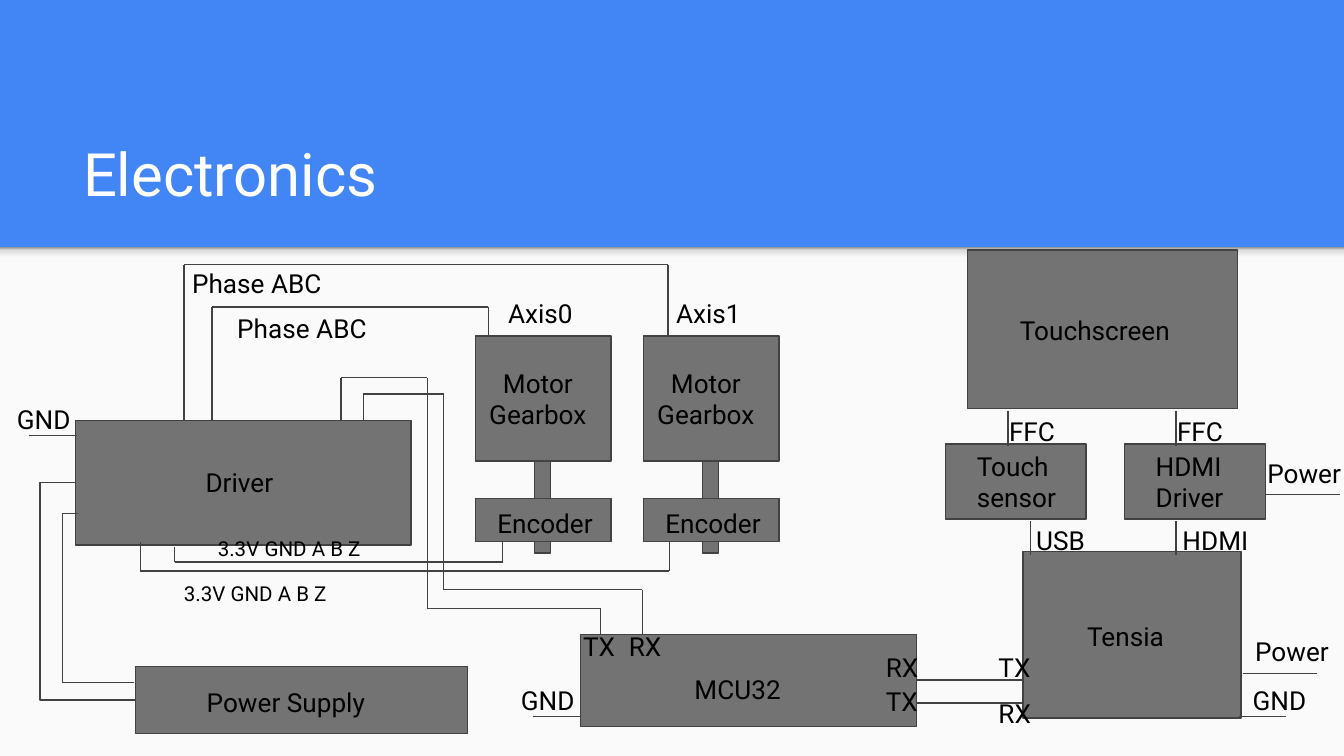
"""Build the Electronics wiring slide."""
from copy import deepcopy
from dataclasses import dataclass
from itertools import pairwise

from lxml import etree
from pptx import Presentation
from pptx.dml.color import RGBColor
from pptx.enum.shapes import MSO_CONNECTOR, MSO_SHAPE
from pptx.enum.text import MSO_ANCHOR, PP_ALIGN
from pptx.oxml.ns import qn
from pptx.util import Pt

RECTANGLE = MSO_SHAPE.RECTANGLE
STRAIGHT, ELBOW = MSO_CONNECTOR.STRAIGHT, MSO_CONNECTOR.ELBOW
TOP, BOTTOM = MSO_ANCHOR.TOP, MSO_ANCHOR.BOTTOM
LEFT, CENTER = PP_ALIGN.LEFT, PP_ALIGN.CENTER


@dataclass(frozen=True)
class Theme:
    banner: str = "4285F4"
    paper: str = "FAFAFA"
    block: str = "737373"
    wire: str = "424242"
    ink: str = "000000"
    title_ink: str = "FFFFFF"
    shade: tuple = ((0, "F9F9F9"), (0.36, "F9F9F9"), (0.8, "DEDEDE"), (1, "999999"))
    font: str = "Roboto"
    title_size: float = 32
    body_size: float = 14
    small_size: float = 11
    line_width: float = 0.75
    inset: float = 7.2


@dataclass(frozen=True)
class Frame:
    left: float
    top: float
    width: float
    height: float

    def lengths(self) -> tuple:
        return Pt(self.left), Pt(self.top), Pt(self.width), Pt(self.height)


@dataclass(frozen=True)
class Label:
    text: str
    frame: Frame
    size: float = Theme.body_size
    color: str = Theme.ink
    align: PP_ALIGN = LEFT
    anchor: MSO_ANCHOR = TOP


@dataclass(frozen=True)
class Block:
    frame: Frame
    label: Label


THEME = Theme()
ONE_LINE, TWO_LINES, SMALL_LINE = 31.5, 48, 28

BLOCKS = [
    Block(Frame(72.7, 357, 177.8, 36), Label("Power Supply", Frame(103.7, 360.7, 113, ONE_LINE))),
    Block(Frame(40.3, 225.4, 180, 66.6), Label("Driver", Frame(103, 242.6, 66.2, ONE_LINE))),
    Block(Frame(518.4, 134, 144.7, 85), Label("Touchscreen", Frame(539.3, 161.3, 103.7, ONE_LINE))),
    Block(Frame(311, 339.8, 180, 49.4), Label("MCU32", Frame(365, 353.5, 66, ONE_LINE))),
    Block(Frame(548, 295.4, 116.8, 89.3), Label("Tensia", Frame(575.3, 325.4, 66.2, ONE_LINE))),
    Block(Frame(602.6, 237.8, 75.4, 40.3), Label("HDMI\nDriver", Frame(612, 234, 65.5, TWO_LINES))),
    Block(Frame(506.4, 237.8, 75.4, 40.3), Label("Touch\nsensor", Frame(516.2, 234, 65.5, TWO_LINES))),
]

WIRES = [
    [(98.6, 225.4), (98.6, 141.8), (357.8, 141.8), (357.8, 180)],
    [(113.6, 225.4), (113.6, 164.4), (261.6, 164.4), (261.6, 180)],
    [(182.8, 225.4), (182.8, 202.4), (229, 202.4), (229, 326), (321.8, 326), (321.8, 339.8)],
    [(194.6, 225.4), (194.6, 211), (237.6, 211), (237.6, 316), (344.2, 316), (344.2, 339.8)],
    [(93.6, 293), (93.6, 301), (269.3, 301), (269.3, 290.2)],
    [(75.2, 290.2), (75.2, 306), (358.6, 306), (358.6, 290.2)],
    [(41.8, 275), (33.6, 275), (33.6, 365.8), (72, 365.8)],
    [(41, 233.3), (15.8, 233.3)],
    [(311, 383.8), (285.8, 383.8)],
    [(689, 383.8), (663.8, 383.8)],
    [(666, 360.7), (705.6, 360.7)],
    [(678.2, 265), (717.8, 265)],
    [(540, 220.3), (540, 239)],
    [(630, 220.3), (630, 239)],
    [(552.2, 279.4), (552.2, 297.4)],
    [(630, 279.4), (630, 297.4)],
    [(491, 364.3), (548.6, 364.3)],
    [(491, 376.6), (548.6, 376.6)],
]

LABELS = [
    Label("Electronics", Frame(37.4, 58.3, 647.3, 60.5), THEME.title_size, THEME.title_ink, anchor=BOTTOM),
    *(Label(text, Frame(left, top, width, ONE_LINE)) for text, left, top, width in [
        ("Phase ABC", 95.8, 136, 90),
        ("Phase ABC", 120, 160, 90),
        ("FFC", 533.5, 215.3, 50.4),
        ("FFC", 623.5, 215.3, 50.4),
        ("USB", 548, 273.6, 57.6),
        ("HDMI", 626.4, 273.6, 57.6),
        ("Power", 671.8, 237.6, 63.4),
        ("Power", 665.3, 333.4, 63.4),
        ("GND", 2, 208.8, 50.4),
        ("GND", 272, 359.3, 50.4),
        ("GND", 664, 359.3, 50.4),
        ("TX", 305.3, 330.5, 43.2),
        ("RX", 329.8, 330.5, 43.2),
        ("RX", 467.5, 342, 43.2),
        ("TX", 467.5, 360, 43.2),
        ("TX", 527.8, 342, 43.2),
        ("RX", 527.8, 366.5, 43.2),
    ]),
    *(Label("3.3V GND A B Z", Frame(left, top, 126, SMALL_LINE), THEME.small_size)
      for left, top in [(109.6, 280.6), (91.4, 304.6)]),
]


def rgb(color: str) -> RGBColor:
    return RGBColor.from_string(color)


def add_box(page, frame: Frame, color: str, outlined: bool = True):
    box = page.shapes.add_shape(RECTANGLE, *frame.lengths())
    box.shadow.inherit = False
    box.fill.solid()
    box.fill.fore_color.rgb = rgb(color)
    if outlined:
        box.line.color.rgb = rgb(THEME.wire)
        box.line.width = Pt(THEME.line_width)
    else:
        box.line.fill.background()
    return box


def add_label(page, label: Label) -> None:
    text_frame = page.shapes.add_textbox(*label.frame.lengths()).text_frame
    text_frame.word_wrap = True
    text_frame.vertical_anchor = label.anchor
    text_frame.margin_left = text_frame.margin_right = Pt(THEME.inset)
    text_frame.margin_top = text_frame.margin_bottom = Pt(THEME.inset)
    text_frame.text = label.text
    for para in text_frame.paragraphs:
        para.alignment = label.align
        for span in para.runs:
            span.font.name = THEME.font
            span.font.size = Pt(label.size)
            span.font.color.rgb = rgb(label.color)


def add_block(page, block: Block) -> None:
    add_box(page, block.frame, THEME.block)
    add_label(page, block.label)


def add_wire(page, start: tuple, end: tuple, kind: MSO_CONNECTOR = STRAIGHT):
    wire = page.shapes.add_connector(kind, *(Pt(value) for value in (*start, *end)))
    wire.line.color.rgb = rgb(THEME.wire)
    wire.line.width = Pt(THEME.line_width)
    etree.SubElement(wire._element.spPr, qn("a:effectLst"))
    return wire


def add_elbow(page, start: tuple, end: tuple, bend: int) -> None:
    wire = add_wire(page, start, end, ELBOW)
    guides = wire._element.spPr.find(qn("a:prstGeom")).get_or_add_avLst()
    etree.SubElement(guides, qn("a:gd"), name="adj1", fmla=f"val {bend}")


def add_axis(page, name: str, left: float) -> None:
    add_box(page, Frame(left + 31.7, 247, 8.6, 49.2), THEME.block)
    motor = Label("Motor\nGearbox", Frame(left - 2.9, 189.4, 72.7, TWO_LINES), align=CENTER)
    add_block(page, Block(Frame(left, 180, 72.7, 67), motor))
    encoder = Label("Encoder", Frame(left + 4.6, 264.4, 66.2, ONE_LINE))
    add_block(page, Block(Frame(left, 267, 72.7, 23), encoder))
    add_label(page, Label(name, Frame(left + 10.4, 152, 59, ONE_LINE)))


def add_backdrop(page) -> None:
    page.background.fill.solid()
    page.background.fill.fore_color.rgb = rgb(THEME.banner)
    add_box(page, Frame(0, 132.5, 720, 272.5), THEME.paper, outlined=False)
    strip = add_box(page, Frame(0, 132.5, 720, 8.6), THEME.paper, outlined=False)
    strip.fill.gradient()
    strip.fill.gradient_angle = 90
    stops = strip._element.spPr.find(qn("a:gradFill")).find(qn("a:gsLst"))
    stops.extend([deepcopy(stop) for stop in stops])
    for stop, (position, color) in zip(strip.fill.gradient_stops, THEME.shade):
        stop.position = position
        stop.color.rgb = rgb(color)


def main() -> None:
    deck = Presentation()
    deck.slide_width, deck.slide_height = Pt(720), Pt(405)
    page = deck.slides.add_slide(deck.slide_layouts[6])
    add_backdrop(page)
    for block in BLOCKS:
        add_block(page, block)
    for index in range(2):
        add_axis(page, f"Axis{index}", 254.7 + 90 * index)
    for route in WIRES:
        for start, end in pairwise(route):
            add_wire(page, start, end)
    add_elbow(page, (40.3, 258.5), (72.7, 375.1), -58600)
    for label in LABELS:
        add_label(page, label)
    deck.save("out.pptx")


if __name__ == "__main__":
    main()
